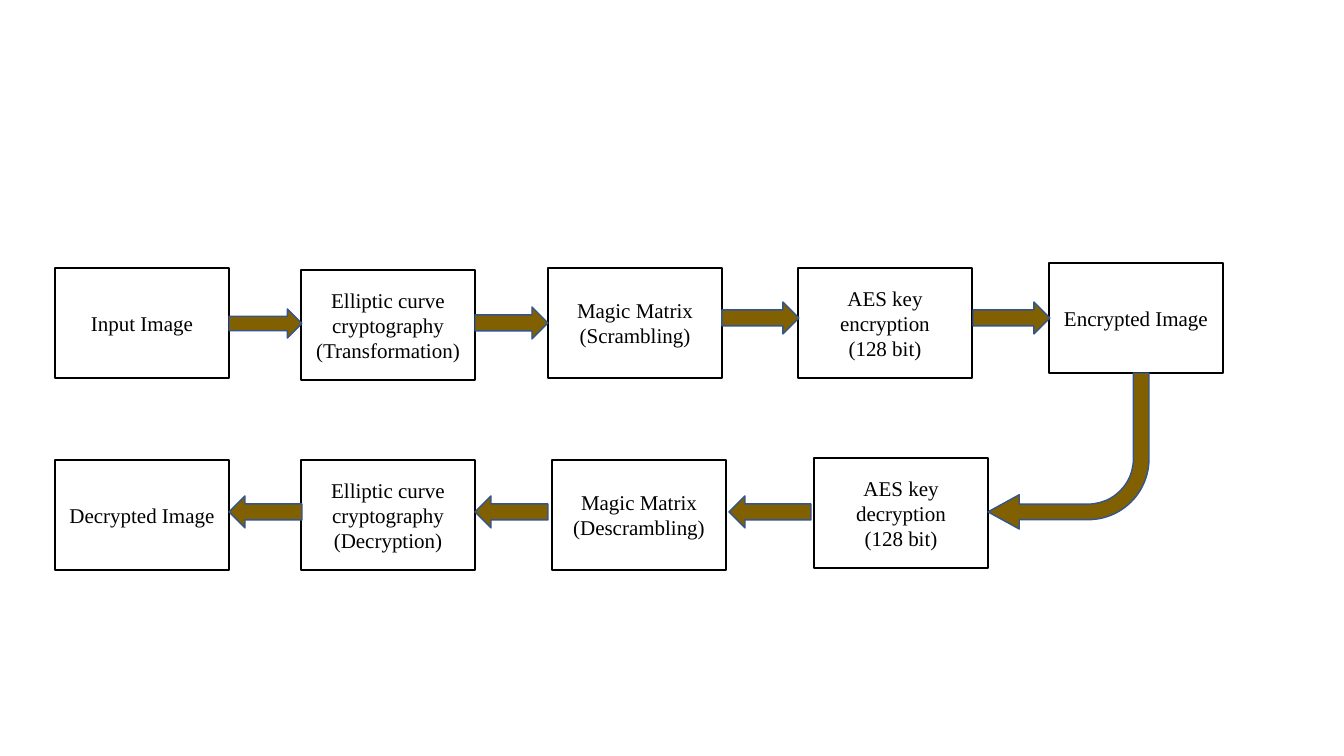
"""Build the image encryption and decryption flow slide."""
import dataclasses

import pptx
import pptx.dml.color
import pptx.enum.shapes
import pptx.enum.text
import pptx.util

Kind = pptx.enum.shapes.MSO_SHAPE
RGBColor = pptx.dml.color.RGBColor

EMU_PER_PIXEL = 12192000 / 1344
BOX_WIDTH, BOX_HEIGHT = 174, 110
BLANK_LAYOUT = 6
WHITE = RGBColor(0xFF, 0xFF, 0xFF)
BLACK = RGBColor(0x00, 0x00, 0x00)
ARROW_BROWN = RGBColor(0x80, 0x60, 0x00)
ARROW_EDGE = RGBColor(0x32, 0x54, 0x91)


@dataclasses.dataclass(frozen=True)
class Stage:
    """A process box: its corner in pixels and its paragraphs."""
    left: int
    top: int
    lines: tuple[str, ...]


@dataclasses.dataclass(frozen=True)
class Arrow:
    """A block arrow: its preset and its bounds in pixels."""
    kind: Kind
    left: int
    top: int
    width: int
    height: int = 32
    rotation: int = 0
    adjustments: tuple[float, ...] = ()


STAGES = (
    Stage(55, 268, ("Input Image",)),
    Stage(301, 270, ("Elliptic curve cryptography", "(Transformation)")),
    Stage(548, 268, ("Magic Matrix", "(Scrambling)")),
    Stage(798, 268, ("AES key encryption", "(128 bit)")),
    Stage(1049, 263, ("Encrypted Image",)),
    Stage(814, 458, ("AES key decryption", "(128 bit)")),
    Stage(552, 460, ("Magic Matrix", "(Descrambling)")),
    Stage(301, 460, ("Elliptic curve cryptography", "(Decryption)")),
    Stage(55, 460, ("Decrypted Image",)),
)

ARROWS = (
    Arrow(Kind.RIGHT_ARROW, 229, 309, 73, 29),
    Arrow(Kind.RIGHT_ARROW, 475, 307, 73),
    Arrow(Kind.RIGHT_ARROW, 722, 302, 77),
    Arrow(Kind.RIGHT_ARROW, 973, 302, 77),
    Arrow(Kind.BENT_ARROW, 988, 373, 161, 156, 180, (0.1, 0.11, 0.2, 0.39)),
    Arrow(Kind.LEFT_ARROW, 729, 496, 82),
    Arrow(Kind.LEFT_ARROW, 475, 496, 73),
    Arrow(Kind.LEFT_ARROW, 229, 496, 73),
)


def pixels(length: int) -> pptx.util.Emu:
    """Turn whole pixels into EMU."""
    return pptx.util.Emu(round(length * EMU_PER_PIXEL))


def add_block(slide, kind: Kind, bounds: tuple[int, int, int, int], *,
              fill: RGBColor, line: RGBColor, line_width: float):
    """Add a flat preset shape with a fill and an outline."""
    shape = slide.shapes.add_shape(kind, *map(pixels, bounds))
    shape.shadow.inherit = False
    shape.fill.solid()
    shape.fill.fore_color.rgb = fill
    shape.line.color.rgb = line
    shape.line.width = pptx.util.Pt(line_width)
    return shape


def write_text(shape, lines: tuple[str, ...], *, font: str = "Times New Roman",
               size: float = 15, color: RGBColor = BLACK) -> None:
    """Write centred paragraphs into a shape."""
    frame = shape.text_frame
    frame.word_wrap = True
    frame.vertical_anchor = pptx.enum.text.MSO_ANCHOR.MIDDLE
    frame.text = "\n".join(lines)
    for paragraph in frame.paragraphs:
        paragraph.alignment = pptx.enum.text.PP_ALIGN.CENTER
        for run in paragraph.runs:
            run.font.name = font
            run.font.size = pptx.util.Pt(size)
            run.font.color.rgb = color


def draw_stage(slide, stage: Stage) -> None:
    """Draw one process box with its label."""
    bounds = (stage.left, stage.top, BOX_WIDTH, BOX_HEIGHT)
    box = add_block(slide, Kind.RECTANGLE, bounds,
                    fill=WHITE, line=BLACK, line_width=1.5)
    write_text(box, stage.lines)


def draw_arrow(slide, arrow: Arrow) -> None:
    """Draw one block arrow between two stages."""
    bounds = (arrow.left, arrow.top, arrow.width, arrow.height)
    shape = add_block(slide, arrow.kind, bounds,
                      fill=ARROW_BROWN, line=ARROW_EDGE, line_width=1)
    shape.rotation = arrow.rotation
    for index, value in enumerate(arrow.adjustments):
        shape.adjustments[index] = value


def main() -> None:
    """Build and save the slide."""
    presentation = pptx.Presentation()
    presentation.slide_width = pixels(1344)
    presentation.slide_height = pixels(756)
    slide = presentation.slides.add_slide(presentation.slide_layouts[BLANK_LAYOUT])
    for stage in STAGES:
        draw_stage(slide, stage)
    for arrow in ARROWS:
        draw_arrow(slide, arrow)
    presentation.save("out.pptx")


main()
